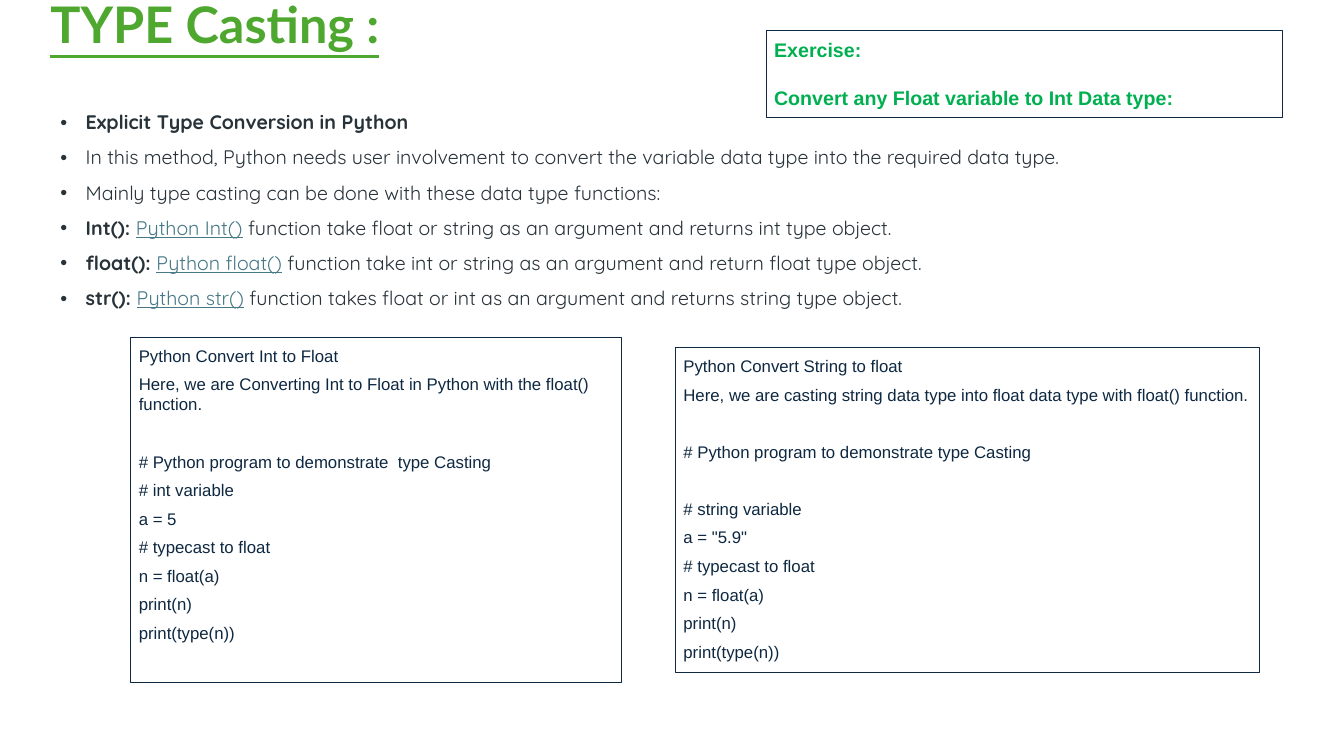
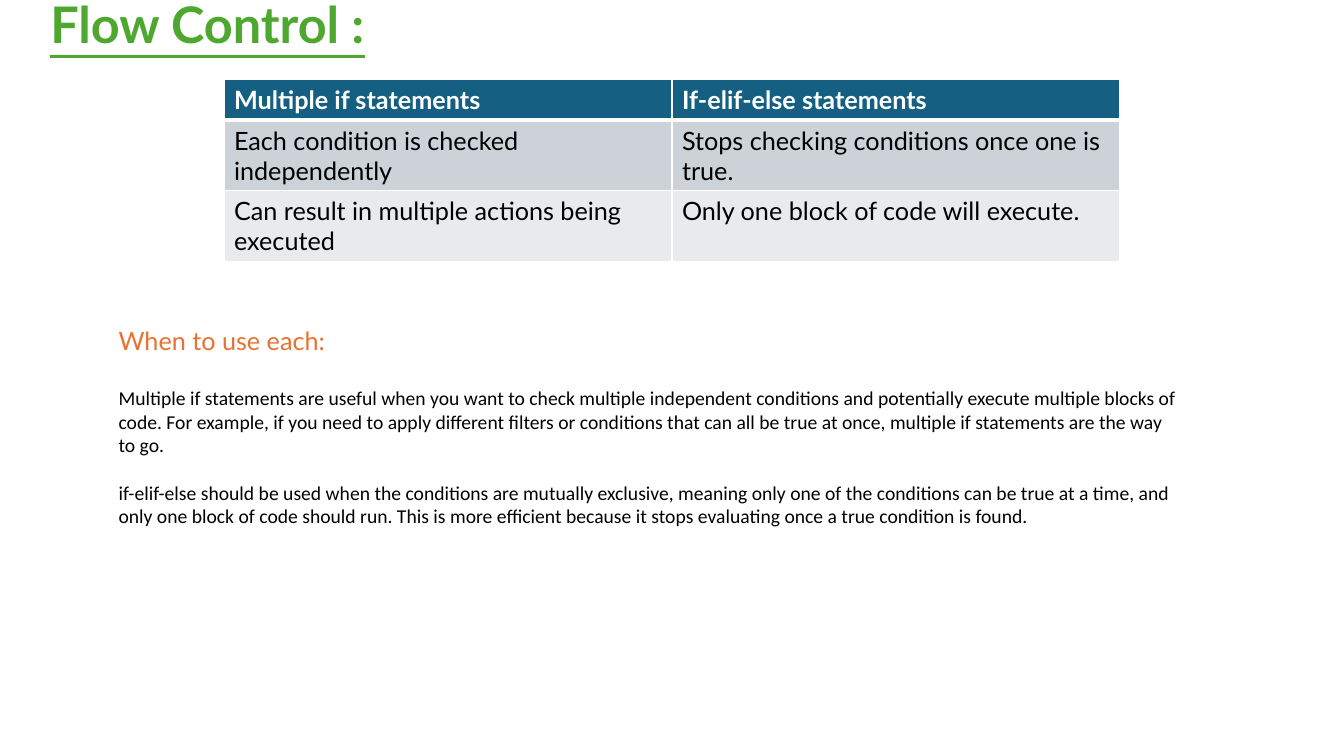
from pptx import Presentation
from pptx import util as u
from pptx.dml import color
from pptx.enum import shapes, text
from pptx.oxml import ns
from lxml import etree

COLOURS = {
    "title": "4EA72E", "prose": "273239", "link": "467886", "code": "0E2841",
    "exercise": "00B050", "heading": "E97132", "black": "000000",
    "white": "FFFFFF", "header": "156082", "band_dark": "CCD2D8", "band_light": "E8EAED",
}
TITLE_AND_CONTENT, TITLE_ONLY = 1, 5


def rgb(name):
    return color.RGBColor.from_string(COLOURS[name])


class Deck:
    def __init__(self):
        self.prs = Presentation()
        self.prs.slide_width, self.prs.slide_height = u.Pt(960), u.Pt(540)
        self.slide = None

    def run(self, paragraph, words, font, size, colour, bold=False, underline=False):
        run = paragraph.add_run()
        run.text = words
        run.font.name, run.font.size = font, u.Pt(size)
        run.font.color.rgb = rgb(colour)
        run.font.bold, run.font.underline = bold, underline

    def place(self, shape, left, top, width, height):
        shape.left, shape.top = u.Pt(left), u.Pt(top)
        shape.width, shape.height = u.Pt(width), u.Pt(height)

    def frame(self, shape, inset_x, inset_y):
        frame = shape.text_frame
        frame.word_wrap = True
        frame.auto_size = text.MSO_AUTO_SIZE.NONE
        frame.vertical_anchor = text.MSO_ANCHOR.TOP
        frame.margin_left = frame.margin_right = u.Pt(inset_x)
        frame.margin_top = frame.margin_bottom = u.Pt(inset_y)
        return frame

    def paragraph(self, frame, before=0, after=0, spacing=1.0):
        paragraph = frame.paragraphs[0]
        if paragraph.runs:
            paragraph = frame.add_paragraph()
        paragraph.alignment = text.PP_ALIGN.LEFT
        paragraph.space_before, paragraph.space_after = u.Pt(before), u.Pt(after)
        paragraph.line_spacing = spacing
        return paragraph

    def start(self, layout, title):
        self.slide = self.prs.slides.add_slide(self.prs.slide_layouts[layout])
        heading = self.slide.shapes.title
        self.place(heading, 36, 0, 793, 55)
        paragraph = self.paragraph(self.frame(heading, 0, 0), spacing=0.9)
        self.run(paragraph, title, "Lato", 36, "title", True, True)

    def bullets(self, items, left, top, width, height):
        body = self.slide.placeholders[1]
        self.place(body, left, top, width, height)
        frame = self.frame(body, 7.2, 7.2)
        for lead, link, rest in items:
            paragraph = self.paragraph(frame, before=10, spacing=0.9)
            properties = paragraph._p.get_or_add_pPr()
            properties.set("marL", str(u.Pt(18)))
            properties.set("indent", str(u.Pt(-18)))
            if lead:
                self.run(paragraph, lead, "Quicksand", 14, "prose", bold=True)
            if link:
                self.run(paragraph, link, "Quicksand", 14, "link", underline=True)
            if rest:
                self.run(paragraph, rest, "Quicksand", 14, "prose")

    def panel(self, groups, left, top, width, height, size=12, colour="code", bold=False, gap=26.4):
        panel = self.slide.shapes.add_shape(
            shapes.MSO_SHAPE.RECTANGLE, u.Pt(left), u.Pt(top), u.Pt(width), u.Pt(height))
        panel.shadow.inherit = False
        panel.fill.background()
        panel.line.color.rgb, panel.line.width = rgb("code"), u.Pt(0.75)
        frame = self.frame(panel, 5.76, 5.76)
        for group in groups:
            for line in group:
                paragraph = self.paragraph(frame, after=6)
                self.run(paragraph, line, "Arial", size, colour, bold)
            paragraph.space_after = u.Pt(gap if group is not groups[-1] else 0)

    def notes(self, heading, advice, left, top, width, height):
        box = self.slide.shapes.add_textbox(u.Pt(left), u.Pt(top), u.Pt(width), u.Pt(height))
        frame = self.frame(box, 7.2, 3.6)
        self.run(self.paragraph(frame, after=21.6), heading, "Lato", 18, "heading")
        for words in advice:
            self.run(self.paragraph(frame, after=17), words, "Calibri", 14, "black")

    def border(self, cell, side, width):
        line = etree.SubElement(cell._tc.get_or_add_tcPr(), ns.qn("a:ln" + side), w=str(u.Pt(width)))
        fill = etree.SubElement(line, ns.qn("a:solidFill"))
        etree.SubElement(fill, ns.qn("a:srgbClr"), val=COLOURS["white"])

    def table(self, rows, heights, left, top, width):
        table = self.slide.shapes.add_table(
            len(rows), len(rows[0]), u.Pt(left), u.Pt(top), u.Pt(width), u.Pt(sum(heights))).table
        for r, (row, height) in enumerate(zip(rows, heights)):
            table.rows[r].height = u.Pt(height)
            fill = ("header", "band_dark", "band_light")[r]
            for c, words in enumerate(row):
                cell = table.cell(r, c)
                for side in "LRTB":
                    under_header = (r, side) in ((0, "B"), (1, "T"))
                    self.border(cell, side, 3 if under_header else 1)
                cell.fill.solid()
                cell.fill.fore_color.rgb = rgb(fill)
                ink = "black" if r else "white"
                self.run(self.paragraph(cell.text_frame), words, "Lato", 18, ink, bold=r == 0)


def type_casting(deck):
    deck.start(TITLE_AND_CONTENT, "TYPE Casting :")
    deck.bullets([
        ("Explicit Type Conversion in Python", "", ""),
        ("", "", "In this method, Python needs user involvement to convert the variable data type "
                 "into the required data type."),
        ("", "", "Mainly type casting can be done with these data type functions:"),
        ("Int(): ", "Python Int()",
         " function take float or string as an argument and returns int type object."),
        ("float(): ", "Python float()",
         " function take int or string as an argument and return float type object."),
        ("str(): ", "Python str()",
         " function takes float or int as an argument and returns string type object."),
    ], 36, 73.4, 888, 116)
    cast = ["# typecast to float", "n = float(a)", "print(n)", "print(type(n))"]
    deck.panel([
        ["Python Convert Int to Float",
         "Here, we are Converting Int to Float in Python with the float() function."],
        ["# Python program to demonstrate  type Casting", "# int variable", "a = 5"] + cast,
    ], 93.4, 241, 350.5, 246.5)
    deck.panel([["Exercise:"], ["Convert any Float variable to Int Data type:"]],
               547.2, 21.6, 369, 62.4, size=14, colour="exercise", bold=True, gap=17.2)
    deck.panel([
        ["Python Convert String to float",
         "Here, we are casting string data type into float data type with float() function."],
        ["# Python program to demonstrate type Casting"],
        ["# string variable", 'a = "5.9"'] + cast,
    ], 482.4, 248.4, 417, 231.8)


def flow_control(deck):
    deck.start(TITLE_ONLY, "Flow Control :")
    deck.table([
        ("Multiple if statements", "If-elif-else statements"),
        ("Each condition is checked independently", "Stops checking conditions once one is true."),
        ("Can result in multiple actions being executed", "Only one block of code will execute."),
    ], (28.8, 50.4, 50.4), 160, 57, 640)
    deck.notes("When to use each:", [
        "Multiple if statements are useful when you want to check multiple independent conditions "
        "and potentially execute multiple blocks of code. For example, if you need to apply "
        "different filters or conditions that can all be true at once, multiple if statements "
        "are the way to go.",
        "if-elif-else should be used when the conditions are mutually exclusive, meaning only one "
        "of the conditions can be true at a time, and only one block of code should run. This is "
        "more efficient because it stops evaluating once a true condition is found.",
    ], 77.6, 229, 775.5, 170)


def main():
    deck = Deck()
    type_casting(deck)
    flow_control(deck)
    deck.prs.save("out.pptx")


if __name__ == "__main__":
    main()
